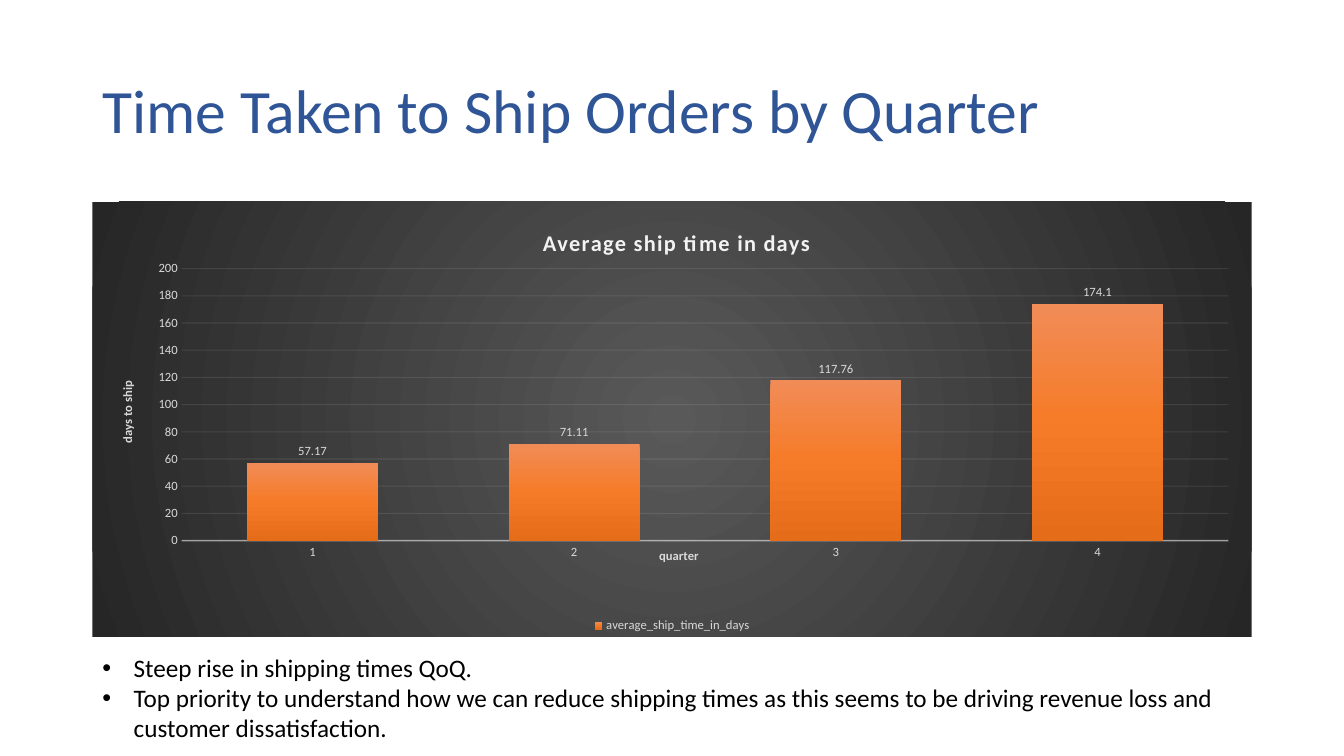
"""Build the slide on shipping times by quarter."""
from lxml import etree
from pptx import Presentation
from pptx.chart.data import CategoryChartData
from pptx.dml.color import RGBColor
from pptx.enum.chart import XL_CHART_TYPE, XL_LABEL_POSITION, XL_LEGEND_POSITION, XL_TICK_MARK
from pptx.enum.text import MSO_ANCHOR, MSO_AUTO_SIZE
from pptx.oxml.ns import qn
from pptx.util import Cm, Pt

COLUMN = XL_CHART_TYPE.COLUMN_CLUSTERED
BOTTOM = XL_LEGEND_POSITION.BOTTOM
OUTSIDE = XL_LABEL_POSITION.OUTSIDE_END
NO_TICK = XL_TICK_MARK.NONE
MIDDLE = MSO_ANCHOR.MIDDLE
GROW = MSO_AUTO_SIZE.SHAPE_TO_FIT_TEXT

FACE = "Calibri"
PALE, LIGHT = "D9D9D9", "F2F2F2"
TITLE = "Time Taken to Ship Orders by Quarter"
NOTES = [
    "Steep rise in shipping times QoQ.",
    "Top priority to understand how we can reduce shipping times as this "
    "seems to be driving revenue loss and customer dissatisfaction.",
]
HEAD = "Average ship time in days"
SERIES = "average_ship_time_in_days"
DAYS = {"1": 57.17, "2": 71.11, "3": 117.76, "4": 174.1}
BACK = [(0, "595959"), (100, "262626")]
BARS = [(0, "F18C57"), (50, "F67B28"), (100, "E56C19")]
LEFT, WIDE = 2.33, 29.21
ROWS = {"title": (1.01, 3.68), "chart": (5.08, 10.97), "notes": (16.31, 2.57)}


def color(code):
    return RGBColor.from_string(code)


def box(row):
    top, high = ROWS[row]
    return Cm(LEFT), Cm(top), Cm(WIDE), Cm(high)


def style(font, size, code, bold=False):
    font.name, font.size, font.bold = FACE, Pt(size), bold
    font.color.rgb = color(code)


def text(frame, lines, size, code, bold=False, space=None, gap=None, bullet=None):
    for i, line in enumerate(lines):
        para = frame.add_paragraph() if i else frame.paragraphs[0]
        run = para.add_run()
        run.text = line
        style(run.font, size, code, bold)
        if space:
            para.line_spacing = space
        if gap:
            run.font._element.set("spc", str(gap))
        if bullet:
            props = para._p.get_or_add_pPr()
            props.set("marL", str(Cm(0.79)))
            props.set("indent", str(-Cm(0.79)))
            etree.SubElement(props, qn("a:buFont")).set("typeface", "Arial")
            etree.SubElement(props, qn("a:buChar")).set("char", bullet)


def blend(props, stops, round_fill=False):
    for old in list(props):
        props.remove(old)
    grad = etree.SubElement(props, qn("a:gradFill"))
    group = etree.SubElement(grad, qn("a:gsLst"))
    for pos, code in stops:
        stop = etree.SubElement(group, qn("a:gs"), pos=str(pos * 1000))
        etree.SubElement(stop, qn("a:srgbClr"), val=code)
    if round_fill:
        shade = etree.SubElement(grad, qn("a:path"), path="circle")
        sides = {side: "50000" for side in "ltrb"}
        etree.SubElement(shade, qn("a:fillToRect"), **sides)
    else:
        etree.SubElement(grad, qn("a:lin"), ang="5400000", scaled="0")
    line = etree.SubElement(props, qn("a:ln"))
    etree.SubElement(line, qn("a:noFill"))


def place(node, index, **spots):
    for old in node.findall(qn("c:layout")):
        node.remove(old)
    layout = etree.Element(qn("c:layout"))
    node.insert(index, layout)
    manual = etree.SubElement(layout, qn("c:manualLayout"))
    if "w" in spots:
        etree.SubElement(manual, qn("c:layoutTarget"), val="inner")
    for key in "xy":
        etree.SubElement(manual, qn(f"c:{key}Mode"), val="edge")
    for key, spot in spots.items():
        etree.SubElement(manual, qn(f"c:{key}"), val=str(spot))


def rule(line, width, alpha):
    line.width = Pt(width)
    line.color.rgb = color(LIGHT)
    tint = line._get_or_add_ln().find(".//" + qn("a:srgbClr"))
    etree.SubElement(tint, qn("a:alpha"), val=str(alpha * 1000))


def label(axis, name, x, y):
    axis.major_tick_mark = axis.minor_tick_mark = NO_TICK
    style(axis.tick_labels.font, 9, PALE)
    text(axis.axis_title.text_frame, [name], 9, PALE, bold=True)
    place(axis.axis_title._element, 1, x=x, y=y)


def draw(slide):
    data = CategoryChartData()
    data.categories = list(DAYS)
    data.add_series(SERIES, list(DAYS.values()))
    chart = slide.shapes.add_chart(COLUMN, *box("chart"), data).chart
    style(chart.font, 10, "000000")
    space = chart._chartSpace
    props = etree.Element(qn("c:spPr"))
    space.find(qn("c:txPr")).addprevious(props)
    blend(props, BACK, round_fill=True)

    chart.has_title = True
    text(chart.chart_title.text_frame, [HEAD], 16, LIGHT, bold=True, gap=100)
    place(chart.chart_title._element, 1, x=0.385, y=0.05)
    place(space.find(".//" + qn("c:plotArea")), 0, x=0.077, y=0.154, w=0.903, h=0.625)
    chart.has_legend = True
    chart.legend.position = BOTTOM
    chart.legend.include_in_layout = False
    style(chart.legend.font, 9, PALE)

    base, scale = chart.category_axis, chart.value_axis
    label(base, "quarter", 0.487, 0.79)
    label(scale, "days to ship", 0.021, 0.407)
    rule(base.format.line, 1, 54)
    rule(scale.major_gridlines.format.line, 0.75, 10)
    scale.format.line.fill.background()
    scale.minimum_scale, scale.maximum_scale, scale.major_unit = 0, 200, 20

    plot = chart.plots[0]
    plot.gap_width, plot.overlap, plot.vary_by_categories = 100, -24, False
    bars = plot.series[0]
    blend(bars._element.get_or_add_spPr(), BARS)
    tags = bars.data_labels
    tags.show_value, tags.position = True, OUTSIDE
    style(tags.font, 9, PALE)


def main():
    deck = Presentation()
    deck.slide_width, deck.slide_height = Cm(33.87), Cm(19.05)
    slide = deck.slides.add_slide(deck.slide_layouts[5])
    title = slide.shapes.title
    title.left, title.top, title.width, title.height = box("title")
    title.text_frame.vertical_anchor = MIDDLE
    text(title.text_frame, [TITLE], 44, "2F5597", space=0.9)
    title.text_frame.paragraphs[0].alignment = 1
    draw(slide)
    frame = slide.shapes.add_textbox(*box("notes")).text_frame
    frame.word_wrap, frame.auto_size = True, GROW
    text(frame, NOTES, 18, "000000", bullet="•")
    deck.save("out.pptx")


if __name__ == "__main__":
    main()
